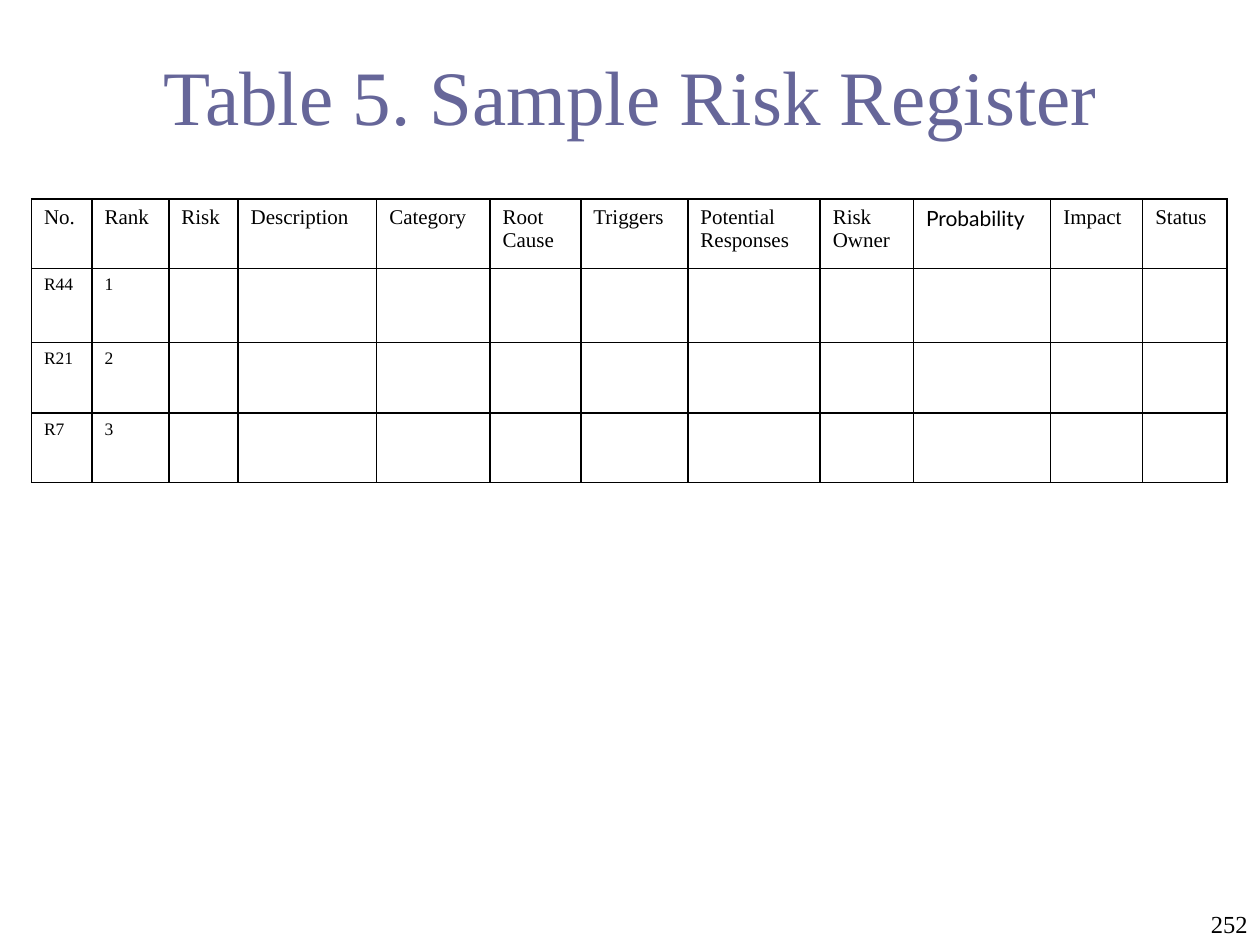
from lxml import etree
from pptx import Presentation
from pptx.dml.color import RGBColor
from pptx.enum import text
from pptx.oxml.ns import qn
from pptx.util import Inches, Pt

SERIF = "Times New Roman"
COLUMNS = [
    ("No.", 0.48), ("Rank", 0.61), ("Risk", 0.55), ("Description", 1.1),
    ("Category", 0.9), ("Root\nCause", 0.72), ("Triggers", 0.85),
    ("Potential\nResponses", 1.05), ("Risk\nOwner", 0.74),
    ("Probability", 1.09), ("Impact", 0.73), ("Status", 0.67),
]
RISKS = [("R44", "1"), ("R21", "2"), ("R7", "3")]
ROW_HEIGHTS = [0.55, 0.59, 0.56, 0.55]


def color(value):
    return RGBColor.from_string(value)


def style(p, size, name=SERIF, fill="000000"):
    p.font.size = Pt(size)
    p.font.name = name
    p.font.color.rgb = color(fill)


def add_text(s, box, content, size, align, fill="000000"):
    tf = s.shapes.add_textbox(*map(Inches, box)).text_frame
    tf.word_wrap = True
    tf.vertical_anchor = text.MSO_ANCHOR.MIDDLE
    tf.text = content
    p = tf.paragraphs[0]
    p.alignment = align
    style(p, size, fill=fill)


def add_borders(cell, fill="000000", width=1):
    tcPr = cell._tc.get_or_add_tcPr()
    for side in ("lnL", "lnR", "lnT", "lnB"):
        ln = etree.SubElement(tcPr, qn(f"a:{side}"), w=str(Pt(width)))
        solid = etree.SubElement(ln, qn("a:solidFill"))
        etree.SubElement(solid, qn("a:srgbClr"), val=fill)


def fill_cell(cell, content, size, name=SERIF):
    add_borders(cell)
    cell.fill.background()
    cell.text_frame.text = content
    for p in cell.text_frame.paragraphs:
        pPr = p._p.get_or_add_pPr()
        pPr.set("marL", str(Inches(0.38)))
        pPr.set("indent", str(Inches(-0.38)))
        style(p, size, name)


def add_register(s, box):
    headings = [heading for heading, _ in COLUMNS]
    rows = [headings] + [list(risk) + [""] * (len(COLUMNS) - len(risk)) for risk in RISKS]
    table = s.shapes.add_table(len(rows), len(COLUMNS), *map(Inches, box)).table
    for column, (_, width) in zip(table.columns, COLUMNS):
        column.width = Inches(width)
    for row, height, contents in zip(table.rows, ROW_HEIGHTS, rows):
        row.height = Inches(height)
        size = 12 if contents is headings else 10
        for cell, content in zip(row.cells, contents):
            fill_cell(cell, content, size, "Lato" if content == "Probability" else SERIF)


def main():
    prs = Presentation()
    prs.slide_width, prs.slide_height = Inches(10), Inches(7.5)
    s = prs.slides.add_slide(prs.slide_layouts[6])
    add_text(s, (8.92, 7.17, 1.08, 0.33), "252", 14, text.PP_ALIGN.RIGHT)
    add_text(s, (0.42, 0.25, 9.17, 1), "Table 5. Sample Risk Register", 44,
             text.PP_ALIGN.CENTER, "666699")
    add_register(s, (0.25, 1.58, 9.5, 2.25))
    prs.save("out.pptx")


if __name__ == "__main__":
    main()
